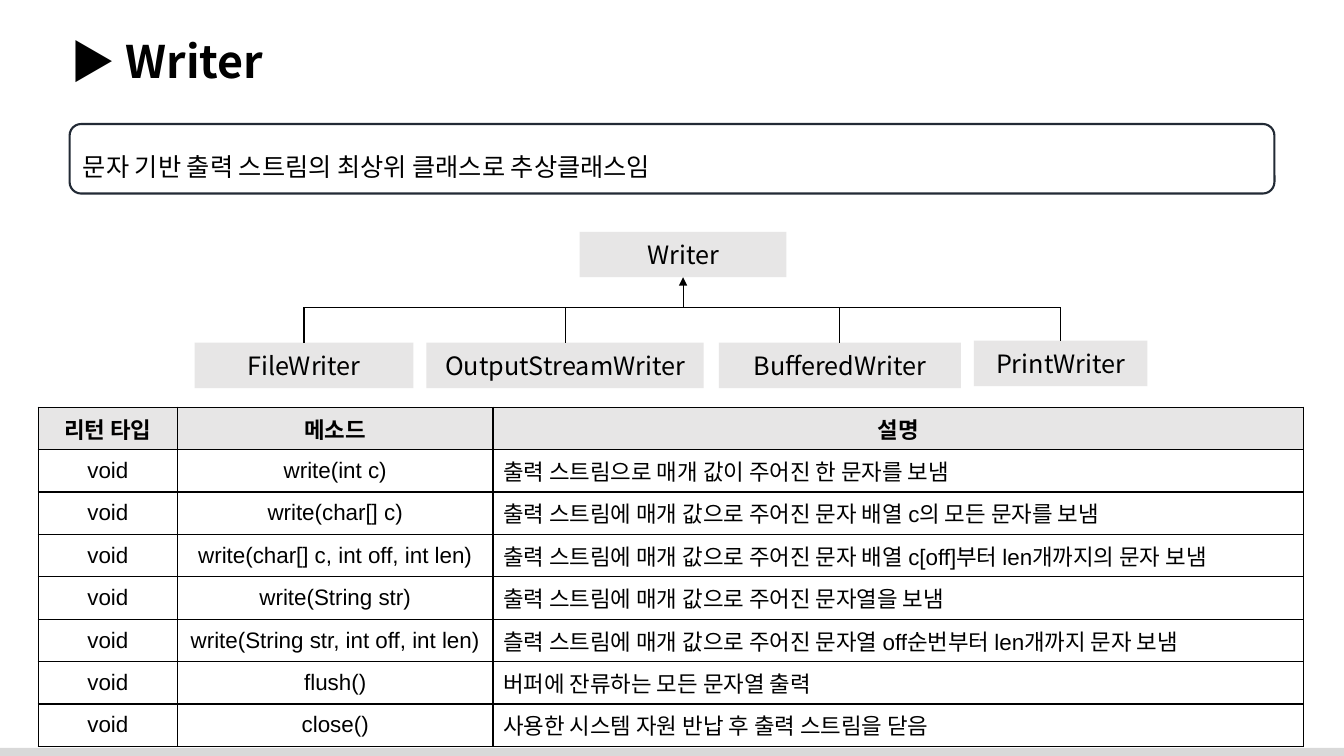
from lxml import etree
from pptx import Presentation
from pptx import util as u
from pptx.dml.color import RGBColor
from pptx.enum import shapes, text
from pptx.oxml.ns import qn

PX = 9144


def px(length):
    return u.Emu(int(length * PX))


def colour(hex_string):
    return RGBColor.from_string(hex_string)


class WriterSlide:
    """Holds the style and the current slide, and adds each kind of element."""

    ink, panel, paper = "000000", "E7E6E6", "FFFFFF"
    frame, band = "222A35", "D9D9D9"
    heading_font, table_font = "Noto Sans CJK KR", "Arial"

    def __init__(self, deck):
        self.slide = deck.slides.add_slide(deck.slide_layouts[5])

    def label(self, frame, wording, size, font, align, bold=False):
        frame.text = wording
        paragraph = frame.paragraphs[0]
        paragraph.alignment = align
        paragraph.font.size = u.Pt(size)
        paragraph.font.name = font
        paragraph.font.bold = bold
        paragraph.font.color.rgb = colour(self.ink)
        return paragraph

    def title(self, wording, left, top, width, height):
        heading = self.slide.shapes.title
        heading.left, heading.top = px(left), px(top)
        heading.width, heading.height = px(width), px(height)
        frame = heading.text_frame
        frame.auto_size = text.MSO_AUTO_SIZE.NONE
        frame.vertical_anchor = text.MSO_ANCHOR.MIDDLE
        self.label(frame, wording, 32, self.heading_font, text.PP_ALIGN.LEFT, True)

    def box(self, left, top, width, height, fill=None, line=None,
            kind=shapes.MSO_SHAPE.RECTANGLE):
        panel = self.slide.shapes.add_shape(kind, px(left), px(top), px(width), px(height))
        panel.shadow.inherit = False
        if fill:
            panel.fill.solid()
            panel.fill.fore_color.rgb = colour(fill)
        else:
            panel.fill.background()
        if line:
            panel.line.color.rgb = colour(line)
            panel.line.width = u.Pt(1.5)
        else:
            panel.line.fill.background()
        return panel

    def summary(self, wording, left, top, width, height):
        panel = self.box(left, top, width, height, line=self.frame,
                         kind=shapes.MSO_SHAPE.ROUNDED_RECTANGLE)
        panel.text_frame.vertical_anchor = text.MSO_ANCHOR.MIDDLE
        sentence = self.label(panel.text_frame, wording, 18, self.heading_font,
                              text.PP_ALIGN.LEFT)
        sentence.line_spacing = 1.5

    def class_box(self, name, left, top, width, height=45):
        node = self.box(left, top, width, height, fill=self.panel)
        node.text_frame.vertical_anchor = text.MSO_ANCHOR.MIDDLE
        self.label(node.text_frame, name, 18, self.heading_font, text.PP_ALIGN.CENTER)
        return node

    def line(self, start, end, arrow=False):
        link = self.slide.shapes.add_connector(shapes.MSO_CONNECTOR.STRAIGHT, *start, *end)
        link.line.color.rgb = colour(self.ink)
        link.line.width = u.Pt(0.75)
        properties = link._element.spPr
        if arrow:
            etree.SubElement(properties.find(qn("a:ln")), qn("a:tailEnd"), type="triangle")
        etree.SubElement(properties, qn("a:effectLst"))
        return link

    def hierarchy(self, parent, children, bus_top):
        def middle(node):
            return node.left + node.width // 2

        bus = px(bus_top)
        self.line((middle(children[0]), bus), (middle(children[-1]), bus))
        stem = self.line((middle(parent), bus),
                         (middle(parent), parent.top + parent.height), arrow=True)
        stem.end_connect(parent, 2)
        for child in children:
            drop = self.line((middle(child), child.top), (middle(child), bus))
            drop.begin_connect(child, 0)

    def border(self, cell):
        properties = cell._tc.get_or_add_tcPr()
        for position, side in enumerate(("lnL", "lnR", "lnT", "lnB")):
            edge = etree.Element(qn("a:" + side), w=str(u.Pt(1)))
            solid = etree.SubElement(edge, qn("a:solidFill"))
            etree.SubElement(solid, qn("a:srgbClr"), val=self.ink)
            properties.insert(position, edge)

    def table(self, rows, left, top, widths, row_height):
        grid = self.slide.shapes.add_table(
            len(rows), len(widths), px(left), px(top),
            px(sum(widths)), px(row_height * len(rows))).table
        for column, width in zip(grid.columns, widths):
            column.width = px(width)
        for r, row in enumerate(rows):
            grid.rows[r].height = px(row_height)
            for c, wording in enumerate(row):
                header = r == 0
                cell = grid.cell(r, c)
                cell.vertical_anchor = text.MSO_ANCHOR.MIDDLE
                cell.fill.solid()
                cell.fill.fore_color.rgb = colour(self.panel if header else self.paper)
                centred = header or c < 2
                align = text.PP_ALIGN.CENTER if centred else text.PP_ALIGN.LEFT
                self.label(cell.text_frame, wording, 16, self.table_font, align, header)
                self.border(cell)


def main():
    deck = Presentation()
    deck.slide_width, deck.slide_height = px(1333), px(750)
    page = WriterSlide(deck)

    page.box(0, 742, 1333, 8, fill=page.band)
    page.title("▶ Writer", 60, 28, 1260, 64)
    page.summary("문자 기반 출력 스트림의 최상위 클래스로 추상클래스임", 69, 123, 1195, 69)

    methods = [
        ("write(int c)", "출력 스트림으로 매개 값이 주어진 한 문자를 보냄"),
        ("write(char[] c)", "출력 스트림에 매개 값으로 주어진 문자 배열 c의 모든 문자를 보냄"),
        ("write(char[] c, int off, int len)",
         "출력 스트림에 매개 값으로 주어진 문자 배열 c[off]부터 len개까지의 문자 보냄"),
        ("write(String str)", "출력 스트림에 매개 값으로 주어진 문자열을 보냄"),
        ("write(String str, int off, int len)",
         "츨력 스트림에 매개 값으로 주어진 문자열 off순번부터 len개까지 문자 보냄"),
        ("flush()", "버퍼에 잔류하는 모든 문자열 출력"),
        ("close()", "사용한 시스템 자원 반납 후 출력 스트림을 닫음"),
    ]
    rows = [("리턴 타입", "메소드", "설명")] + [("void", *method) for method in methods]
    page.table(rows, 38, 404, (138, 313, 804), 41)

    writer = page.class_box("Writer", 575, 230, 205)
    subclasses = [page.class_box(*subclass) for subclass in (
        ("FileWriter", 193, 340, 217),
        ("OutputStreamWriter", 423, 340, 275),
        ("BufferedWriter", 713, 340, 240),
        ("PrintWriter", 966, 338, 172),
    )]
    page.hierarchy(writer, subclasses, 305)

    deck.save("out.pptx")


if __name__ == "__main__":
    main()
